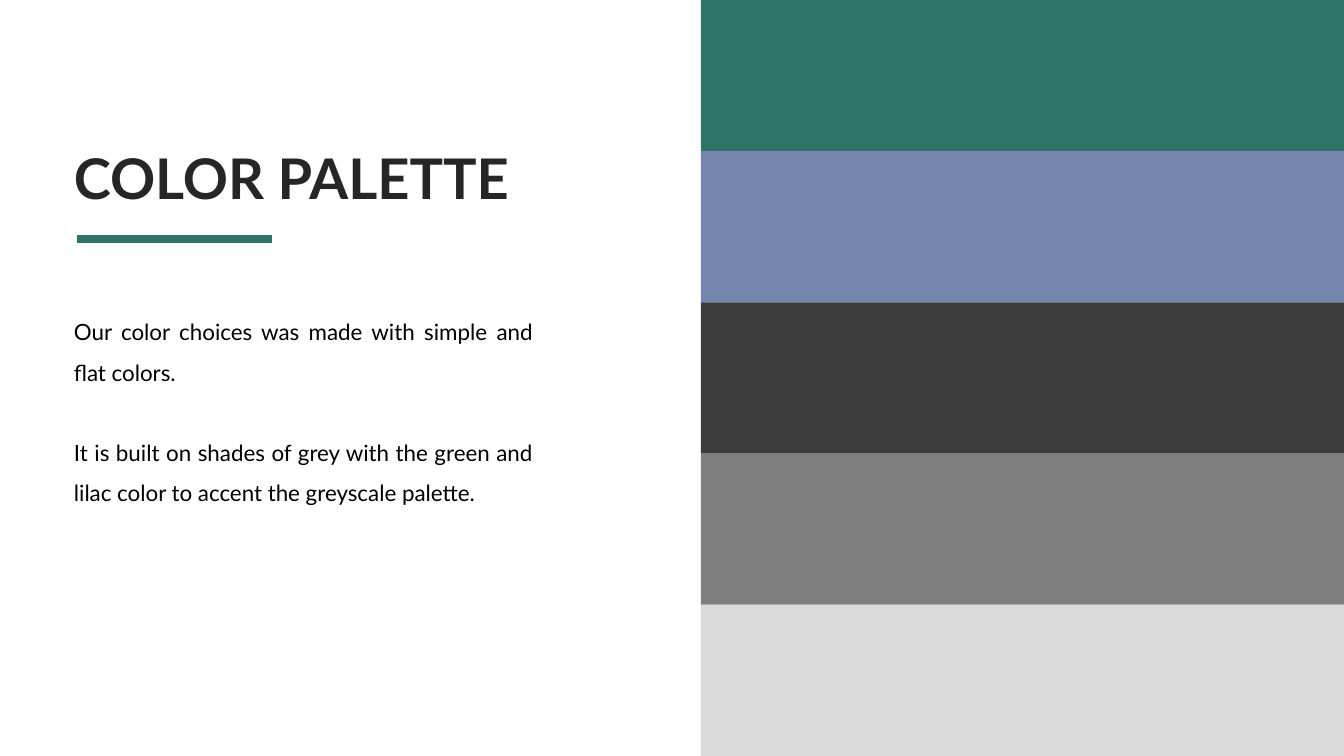
from pptx import Presentation, util as u
from pptx.dml.color import RGBColor
from pptx.enum import shapes, text
from pptx.oxml import parse_xml
from pptx.oxml.ns import nsdecls

WIDE, HIGH = 1344, 756
SCALE = 12192000 / WIDE
GREEN = "307367"
SHADES = [GREEN, "7486AE", "3C3C3C", "7E7E7E", "DADADA"]


def px(n):
    return u.Emu(round(n * SCALE))


def color(code):
    return RGBColor.from_string(code)


def write(slide, box, paras, size=16, ink="000000", bold=False,
          align=text.PP_ALIGN.LEFT, lines=1.0, gap=0, wrap=True):
    frame = slide.shapes.add_textbox(*map(px, box)).text_frame
    frame.word_wrap = wrap
    for i, words in enumerate(paras):
        para = frame.paragraphs[0] if i == 0 else frame.add_paragraph()
        para.alignment = align
        para.line_spacing = lines
        if i:
            para.space_before = u.Pt(gap)
        run = para.add_run()
        run.text = words
        font = run.font
        font.name, font.size, font.bold = "Lato", u.Pt(size), bold
        font.color.rgb = color(ink)


def rule(slide, left, top, width):
    line = slide.shapes.add_connector(
        shapes.MSO_CONNECTOR.STRAIGHT,
        px(left), px(top), px(left + width), px(top))
    line.line.color.rgb = color(GREEN)
    line.line.width = u.Pt(6)
    line._element.spPr.append(parse_xml(f"<a:effectLst {nsdecls('a')}/>"))


# Title, accent rule and body text
def intro(slide, left, top, width):
    write(slide, (left, top, width - 23, 78), ["COLOR PALETTE"],
          size=40, ink="262626", bold=True, wrap=False)
    rule(slide, left + 13, top + 100, 195)
    write(slide, (left, top + 161, width, 214),
          ["Our color choices was made with simple and flat colors.",
           "It is built on shades of grey with the green and "
           "lilac color to accent the greyscale palette."],
          align=text.PP_ALIGN.JUSTIFY, lines=1.5, gap=28.8)


# Equal bands of color, stacked from the top
def bands(slide, left, top, width, height):
    step = height / len(SHADES)
    for i, shade in enumerate(SHADES):
        band = slide.shapes.add_shape(
            shapes.MSO_SHAPE.RECTANGLE,
            px(left), px(top + i * step), px(width), px(step))
        band.shadow.inherit = False
        band.fill.solid()
        band.fill.fore_color.rgb = color(shade)
        band.line.fill.background()


def main():
    deck = Presentation()
    deck.slide_width, deck.slide_height = px(WIDE), px(HIGH)
    slide = deck.slides.add_slide(deck.slide_layouts[6])
    bands(slide, 701, 0, WIDE - 701, HIGH)
    intro(slide, 64, 139, 479)
    deck.save("out.pptx")


if __name__ == "__main__":
    main()
